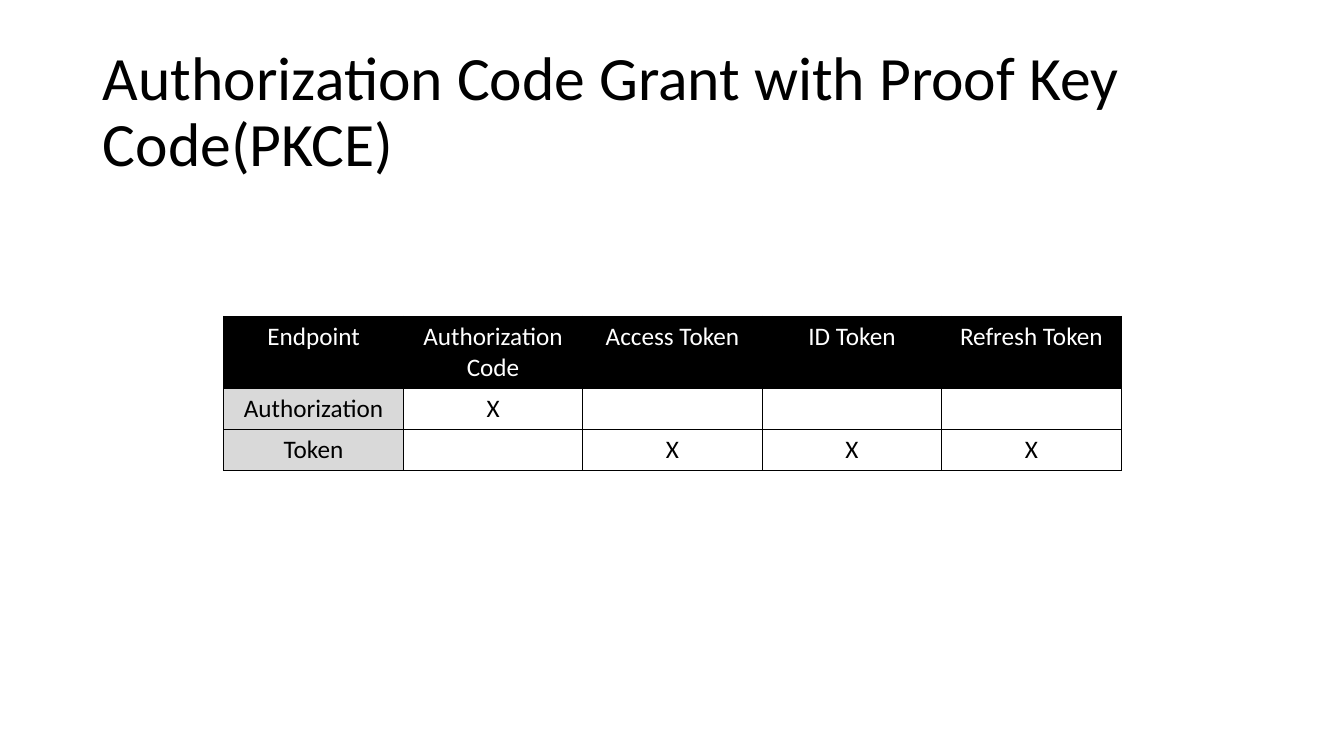
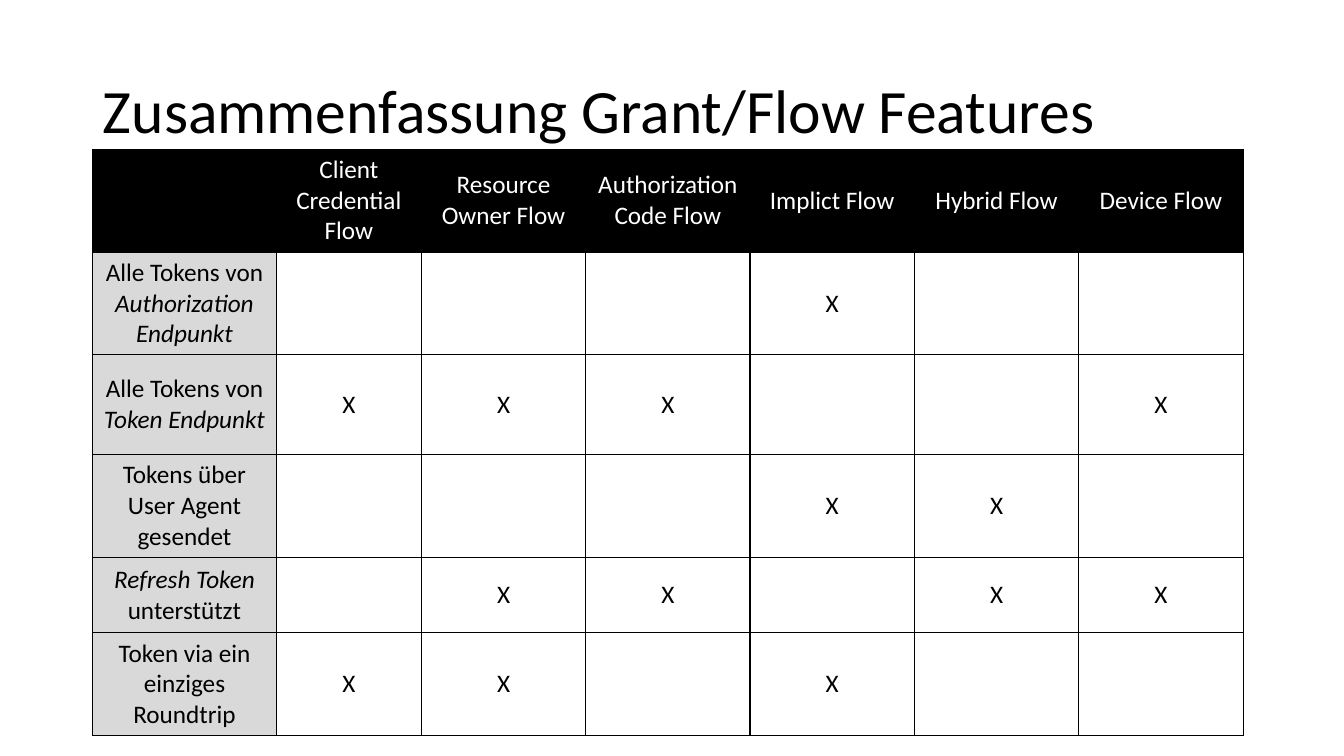
from pptx import Presentation
from pptx.dml.color import RGBColor
from pptx.enum.text import MSO_ANCHOR, MSO_AUTO_SIZE, PP_ALIGN
from pptx.oxml.ns import qn
from pptx.util import Inches, Pt
from lxml import etree

BLACK = RGBColor(0x00, 0x00, 0x00)
WHITE = RGBColor(0xFF, 0xFF, 0xFF)
GREY = RGBColor(0xD9, 0xD9, 0xD9)
FONT = "Calibri"
LEFT, CENTER = PP_ALIGN.LEFT, PP_ALIGN.CENTER
TOP, MIDDLE = MSO_ANCHOR.TOP, MSO_ANCHOR.MIDDLE
NO_FIT = MSO_AUTO_SIZE.NONE
TITLE_ONLY = 5
TITLE_BOX = (0.92, 0.4, 11.5, 1.45)

# In row labels, "|" switches between plain and italic text.
TOKEN_HEAD = ["Endpoint", "Authorization Code", "Access Token", "ID Token",
              "Refresh Token"]
TOKEN_ROWS = [("Authorization", "X---"), ("Token", "-XXX")]

FLOW_HEAD = ["", "Client Credential Flow", "Resource Owner Flow",
             "Authorization Code Flow", "Implict Flow", "Hybrid Flow",
             "Device Flow"]
FLOW_ROWS = [
    ("Alle Tokens von |Authorization Endpunkt", "---X--"),
    ("Alle Tokens von |Token Endpunkt", "XXX--X"),
    ("Tokens über User Agent gesendet", "---XX-"),
    ("|Refresh Token |unterstützt", "-XX-XX"),
    ("Token via ein einziges Roundtrip", "XX-X--"),
]


def add_run(para, text, size, color, italic=False):
    run = para.add_run()
    run.text = text
    font = run.font
    font.name, font.size = FONT, Pt(size)
    font.bold, font.italic = False, italic
    font.color.rgb = color


def add_slide(deck, title):
    slide = deck.slides.add_slide(deck.slide_layouts[TITLE_ONLY])
    shape = slide.shapes.title
    shape.left, shape.top, shape.width, shape.height = map(Inches, TITLE_BOX)
    frame = shape.text_frame
    frame.auto_size, frame.vertical_anchor = NO_FIT, MIDDLE
    para = frame.paragraphs[0]
    para.alignment, para.line_spacing = LEFT, 0.9
    add_run(para, title, 44, BLACK)
    return slide


def add_border(cell):
    props = cell._tc.get_or_add_tcPr()
    for side in ("a:lnL", "a:lnR", "a:lnT", "a:lnB"):
        line = etree.SubElement(props, qn(side), w=str(Pt(1)))
        fill = etree.SubElement(line, qn("a:solidFill"))
        etree.SubElement(fill, qn("a:srgbClr"), val=str(BLACK))


def fill_cell(cell, text, fill, color, anchor):
    add_border(cell)
    if fill is None:
        cell.fill.background()
    else:
        cell.fill.solid()
        cell.fill.fore_color.rgb = fill
    cell.vertical_anchor = anchor
    para = cell.text_frame.paragraphs[0]
    para.alignment = CENTER
    for i, part in enumerate(text.split("|")):
        if part:
            add_run(para, part, 18, color, italic=i % 2 == 1)


def add_matrix(slide, left, top, widths, heights, head, rows, anchor):
    """Add a table with a black header, grey row labels and X marks."""
    box = map(Inches, (left, top, sum(widths), sum(heights)))
    table = slide.shapes.add_table(len(heights), len(widths), *box).table
    table.first_row = table.horz_banding = False
    for col, width in zip(table.columns, widths):
        col.width = Inches(width)
    for row, height in zip(table.rows, heights):
        row.height = Inches(height)
    for c, text in enumerate(head):
        fill_cell(table.cell(0, c), text, BLACK, WHITE, anchor)
    for r, (label, marks) in enumerate(rows, 1):
        fill_cell(table.cell(r, 0), label, GREY, BLACK, anchor)
        for c, mark in enumerate(marks, 1):
            text = mark.replace("-", "")
            fill_cell(table.cell(r, c), text, None, BLACK, anchor)


def main():
    deck = Presentation()
    deck.slide_width, deck.slide_height = Inches(13.33), Inches(7.5)

    slide = add_slide(deck,
                      "Authorization Code Grant with Proof Key Code(PKCE)")
    add_matrix(slide, 2.22, 3.14, [1.78] * 5, [0.7, 0.41, 0.41],
               TOKEN_HEAD, TOKEN_ROWS, TOP)

    slide = add_slide(deck, "Zusammenfassung Grant/Flow Features")
    add_matrix(slide, 0.92, 1.48, [1.82, 1.44] + [1.63] * 5,
               [1.02, 1.02, 0.99, 1.02, 0.75, 1.02],
               FLOW_HEAD, FLOW_ROWS, MIDDLE)

    deck.save("out.pptx")


if __name__ == "__main__":
    main()
